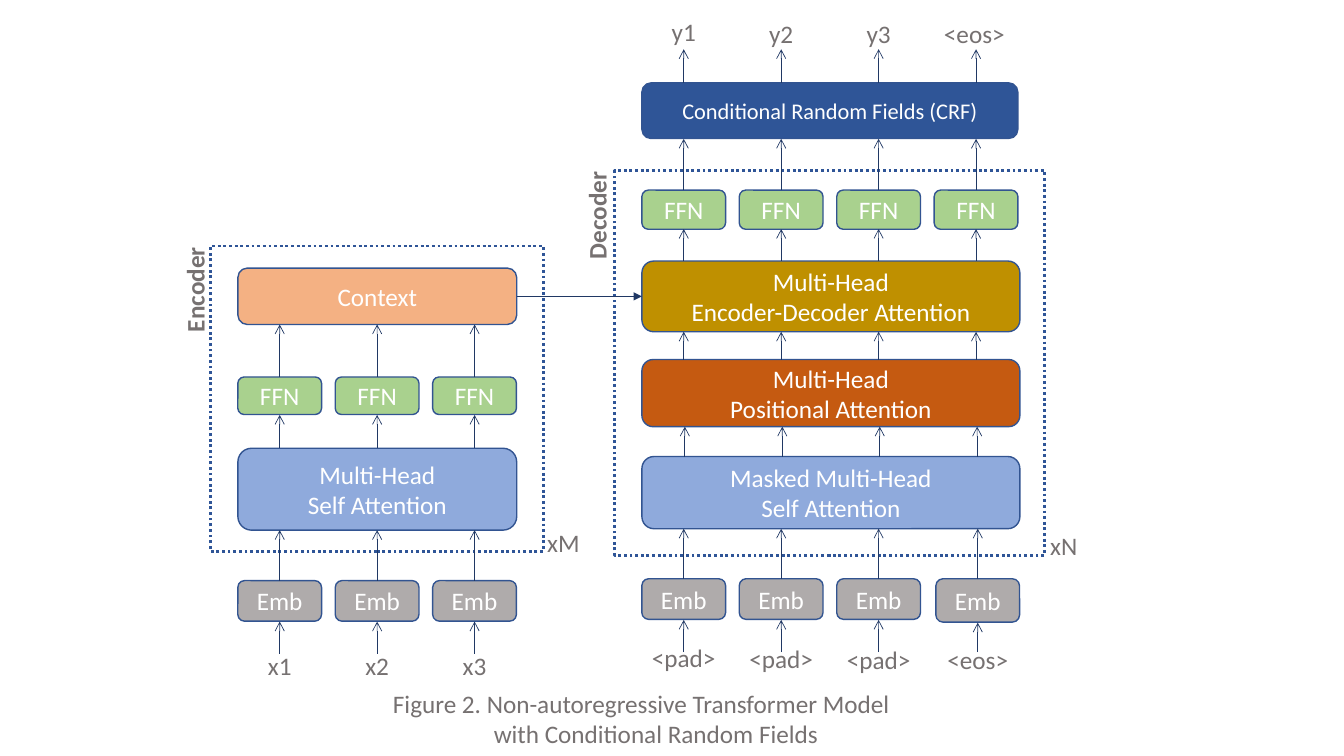
from pptx import Presentation
from pptx.dml.color import RGBColor
from pptx.enum.dml import MSO_LINE
from pptx.enum.shapes import MSO_CONNECTOR, MSO_SHAPE
from pptx.enum.text import MSO_ANCHOR, PP_ALIGN
from pptx.oxml.ns import qn
from pptx.util import Pt
from lxml import etree

ROUND, RECT = MSO_SHAPE.ROUNDED_RECTANGLE, MSO_SHAPE.RECTANGLE
STRAIGHT, DOTTED = MSO_CONNECTOR.STRAIGHT, MSO_LINE.ROUND_DOT
MIDDLE, CENTER, LEFT = MSO_ANCHOR.MIDDLE, PP_ALIGN.CENTER, PP_ALIGN.LEFT
FONT = "Calibri"
COLORS = {
    "context": "F4B183", "ffn": "A9D18E", "self": "8FAADC", "emb": "AFABAB",
    "cross": "BF9000", "positional": "C55A11", "crf": "2F5597",
    "outline": "325491", "frame": "2F5597", "arrow": "203864",
    "white": "FFFFFF", "label": "767171",
}
PITCH, CELL_W = 69.6, 59.8
ENC_X, DEC_X = 169.9, 458.5  # left edges of the two stacks
ENC_W, DEC_W = 199.2, 270


def rgb(name):
    return RGBColor.from_string(COLORS[name])


def write(tf, text, color, size=18, align=CENTER, bold=False):
    tf.text = text
    tf.word_wrap = True
    for p in tf.paragraphs:
        p.alignment = align
        for r in p.runs:
            r.font.name, r.font.size, r.font.bold = FONT, Pt(size), bold
            r.font.color.rgb = rgb(color)


def add_block(s, text, color, x, y, w, h, size=18):
    sp = s.shapes.add_shape(ROUND, Pt(x), Pt(y), Pt(w), Pt(h))
    sp.shadow.inherit = False
    sp.fill.solid()
    sp.fill.fore_color.rgb = rgb(color)
    sp.line.color.rgb = rgb("outline")
    sp.line.width = Pt(1)
    sp.text_frame.vertical_anchor = MIDDLE
    write(sp.text_frame, text, "white", size)


def add_cells(s, text, color, lefts, y, h):
    for x in lefts:
        add_block(s, text, color, x, y, CELL_W, h)


def add_frame(s, x, y, w, h):
    sp = s.shapes.add_shape(RECT, Pt(x), Pt(y), Pt(w), Pt(h))
    sp.shadow.inherit = False
    sp.fill.background()
    sp.line.color.rgb = rgb("frame")
    sp.line.width = Pt(2)
    sp.line.dash_style = DOTTED


def add_arrow(s, x1, y1, x2, y2, head="arrow"):
    line = s.shapes.add_connector(STRAIGHT, Pt(x1), Pt(y1), Pt(x2), Pt(y2))
    line.line.color.rgb = rgb("arrow")
    line.line.width = Pt(0.5)
    etree.SubElement(line.line._get_or_add_ln(), qn("a:tailEnd"), type=head)
    etree.SubElement(line._element.spPr, qn("a:effectLst"))


def add_arrows(s, centers, rows):
    for start, end in rows:
        for x in centers:
            add_arrow(s, x, start, x, end)


def add_label(s, text, x, y, w, h=29, align=LEFT, bold=False, rotation=0):
    sp = s.shapes.add_textbox(Pt(x), Pt(y), Pt(w), Pt(h))
    sp.rotation = rotation
    write(sp.text_frame, text, "label", align=align, bold=bold)
    return sp


def add_tokens(s, tokens, centers, tops, w):
    for text, x, y in zip(tokens, centers, tops):
        add_label(s, text, x - w / 2, y, w, align=CENTER)


def cell_columns(left, count):
    lefts = [left + PITCH * i for i in range(count)]
    return lefts, [x + CELL_W / 2 for x in lefts]


def add_encoder(s):
    lefts, centers = cell_columns(ENC_X, 3)
    add_frame(s, 150.5, 175.7, 237.6, 218.2)
    add_block(s, "Context", "context", ENC_X, 191.5, ENC_W, 40.3)
    add_cells(s, "FFN", "ffn", lefts, 269.3, 26.8)
    add_block(s, "Multi-Head\nSelf Attention", "self", ENC_X, 320.2, ENC_W, 58.5)
    add_cells(s, "Emb", "emb", lefts, 414.7, 29)
    add_arrows(s, centers, [(467, 444), (414.7, 378.7),
                            (320.2, 296.4), (269.3, 231.8)])
    add_tokens(s, ["x1", "x2", "x3"], centers, [460.8] * 3, 39)
    add_label(s, "xM", 383.8, 373, 39)
    add_label(s, "Encoder", 100.8, 191.5, 76.5, bold=True, rotation=270)


def add_decoder(s):
    lefts, centers = cell_columns(DEC_X, 4)
    last_emb = lefts[-1] + 1.2
    inputs = centers[:-1] + [last_emb + CELL_W / 2]
    add_frame(s, 439.2, 121.7, 306.8, 275)

    # Blocks from output to input
    add_block(s, "Conditional Random Fields (CRF)", "crf",
              DEC_X, 59.2, 268.6, 39.8, size=16)
    add_cells(s, "FFN", "ffn", lefts, 135.8, 28)
    for text, color, y, h in [
        ("Multi-Head\nEncoder-Decoder Attention", "cross", 186.5, 50.5),
        ("Multi-Head\nPositional Attention", "positional", 256.8, 48),
        ("Masked Multi-Head\nSelf Attention", "self", 326.1, 51.6),
    ]:
        add_block(s, text, color, DEC_X, y, DEC_W, h)
    add_cells(s, "Emb", "emb", lefts[:-1], 413.4, 29)
    add_cells(s, "Emb", "emb", [last_emb], 413.4, 31)

    # Flow between levels
    add_arrows(s, inputs, [(413.4, 377.7)])
    add_arrows(s, inputs[:-1], [(465.8, 442.8)])
    add_arrows(s, inputs[-1:], [(465.8, 444.8)])
    add_arrows(s, [x + 0.8 for x in centers], [(326.1, 304.8)])
    add_arrows(s, centers, [(256.8, 237), (186.5, 163.6),
                            (135.8, 99.2), (59.2, 35.2)])

    # Tokens and captions
    add_tokens(s, ["<pad>", "<pad>", "<pad>", "<eos>"], inputs,
               [455, 455.8, 456.5, 456.5], 64)
    add_tokens(s, ["y1", "y2", "y3", "<eos>"],
               centers[:3] + [centers[3] - 1.2], [7.9, 9.4, 9.4, 9.4], 64)
    add_label(s, "xN", 743, 375.1, 38)
    add_label(s, "Decoder", 386.6, 138.2, 79.2, bold=True, rotation=270)


def main():
    prs = Presentation()
    prs.slide_width, prs.slide_height = Pt(960), Pt(540)
    s = prs.slides.add_slide(prs.slide_layouts[6])
    add_encoder(s)
    add_decoder(s)
    # Context feeds the encoder-decoder attention
    add_arrow(s, ENC_X + ENC_W, 211.7, DEC_X, 211.7, "triangle")
    # Figure caption, second line indented
    sp = add_label(s, "Figure 2. Non-autoregressive Transformer Model\n"
                   "with Conditional Random Fields", 273.6, 488.2, 378, 51)
    p = sp.text_frame.paragraphs[1]
    p._p.get_or_add_pPr().set("marL", str(Pt(72)))
    prs.save("out.pptx")


main()
